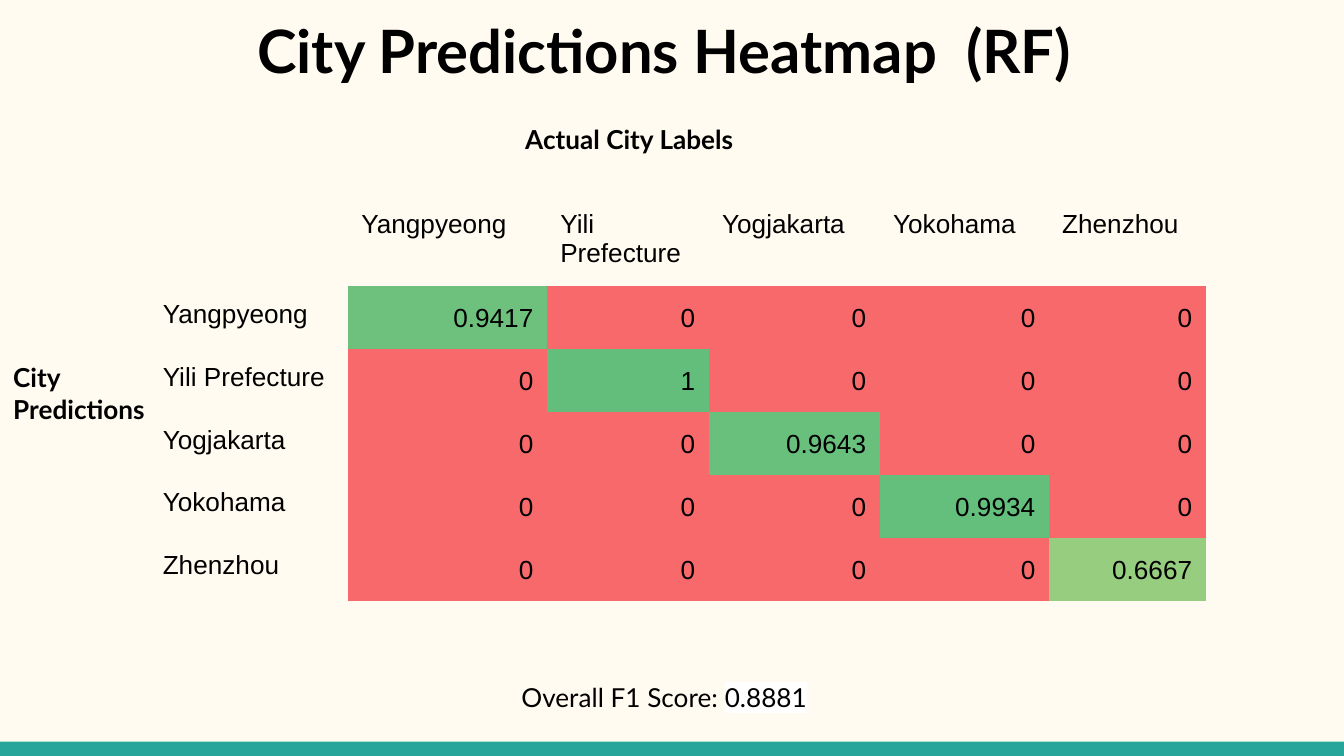
from math import ceil

from lxml import etree
from pptx import Presentation
from pptx.dml.color import RGBColor
from pptx.enum.shapes import MSO_SHAPE
from pptx.enum.text import PP_ALIGN
from pptx.oxml.ns import qn
from pptx.util import Pt

RECT = MSO_SHAPE.RECTANGLE
LEFT, MID, RIGHT = PP_ALIGN.LEFT, PP_ALIGN.CENTER, PP_ALIGN.RIGHT
CREAM = RGBColor(0xFF, 0xFB, 0xF0)
TEAL = RGBColor(0x26, 0xA6, 0x9A)
BLACK = RGBColor(0, 0, 0)
WHITE = RGBColor(0xFF, 0xFF, 0xFF)
RED = RGBColor(0xF8, 0x69, 0x6B)
YELLOW = RGBColor(0xFF, 0xEB, 0x84)
GREEN = RGBColor(0x63, 0xBE, 0x7B)
NO_GRID = "{2D5ABB26-0587-4C30-8999-92F81FD0307C}"

CITIES = ["Yangpyeong", "Yili Prefecture", "Yogjakarta", "Yokohama", "Zhenzhou"]
SCORES = [0.9417, 1, 0.9643, 0.9934, 0.6667]
COLS = [106.4, 106.6, 86.7, 91.6, 90.6, 84.1]
ROWS = [45.4] + [32.4] * len(CITIES)


def shade(score):
    if not score:
        return RED
    return RGBColor(*(ceil(a + (b - a) * score) for a, b in zip(YELLOW, GREEN)))


class Deck:
    def __init__(self, wide, high):
        self.show = Presentation()
        self.show.slide_width, self.show.slide_height = Pt(wide), Pt(high)
        self.slide = self.show.slides.add_slide(self.show.slide_layouts[6])
        self.back(CREAM)

    def back(self, color):
        fill = self.slide.background.fill
        fill.solid()
        fill.fore_color.rgb = color

    def bar(self, box, color):
        shape = self.slide.shapes.add_shape(RECT, *map(Pt, box))
        shape.shadow.inherit = False
        shape.fill.solid()
        shape.fill.fore_color.rgb = color
        shape.line.fill.background()

    def pad(self, frame):
        for side in ("left", "top", "right", "bottom"):
            setattr(frame, "margin_" + side, Pt(7.2))

    def run(self, para, text, mark=None, **style):
        run = para.add_run()
        run.text = text
        run.font.color.rgb = BLACK
        look = {"size": Pt(14), "name": "Lato", "bold": False} | style
        for key, value in look.items():
            setattr(run.font, key, value)
        if mark:
            tag = etree.Element(qn("a:highlight"))
            etree.SubElement(tag, qn("a:srgbClr"), val=str(mark))
            run.font.fill._xPr.find(qn("a:solidFill")).addnext(tag)

    def text(self, box, words, align=LEFT, **style):
        frame = self.slide.shapes.add_textbox(*map(Pt, box)).text_frame
        frame.word_wrap = True
        self.pad(frame)
        para = frame.paragraphs[0]
        para.alignment = align
        self.run(para, words, **style)
        return para

    def cell(self, cell, words, color=None):
        self.pad(cell)
        para = cell.text_frame.paragraphs[0]
        if color:
            cell.fill.solid()
            cell.fill.fore_color.rgb = color
            para.alignment, para.line_spacing = RIGHT, 1.15
        else:
            cell.fill.background()
        if words:
            self.run(para, words, name="Arial")

    def heat(self, left, top):
        box = map(Pt, (left, top, sum(COLS), sum(ROWS)))
        table = self.slide.shapes.add_table(len(ROWS), len(COLS), *box).table
        table.first_row = table.horz_banding = False
        table._tbl.tblPr.find(qn("a:tableStyleId")).text = NO_GRID
        for col, wide in zip(table.columns, COLS):
            col.width = Pt(wide)
        for row, high in zip(table.rows, ROWS):
            row.height = Pt(high)
        self.cell(table.cell(0, 0), "")
        for i, city in enumerate(CITIES):
            self.cell(table.cell(0, i + 1), city)
            self.cell(table.cell(i + 1, 0), city)
            for j in range(len(CITIES)):
                score = SCORES[i] if i == j else 0
                self.cell(table.cell(i + 1, j + 1), str(score), shade(score))


def main():
    deck = Deck(720, 405)
    deck.bar((0, 397.4, 720, 7.6), TEAL)
    deck.text((24.5, 0, 671, 48), "City Predictions Heatmap  (RF) ", MID,
              size=Pt(32), bold=True)
    deck.text((274.3, 59, 172, 18), "Actual City Labels", bold=True)
    total = deck.text((272.2, 357.8, 176.4, 34.6), "Overall F1 Score: ")
    deck.run(total, "0.8881", WHITE)
    deck.text((0, 186.5, 111, 41), "City Predictions", bold=True)
    deck.heat(80, 105.1)
    deck.show.save("out.pptx")


if __name__ == "__main__":
    main()
